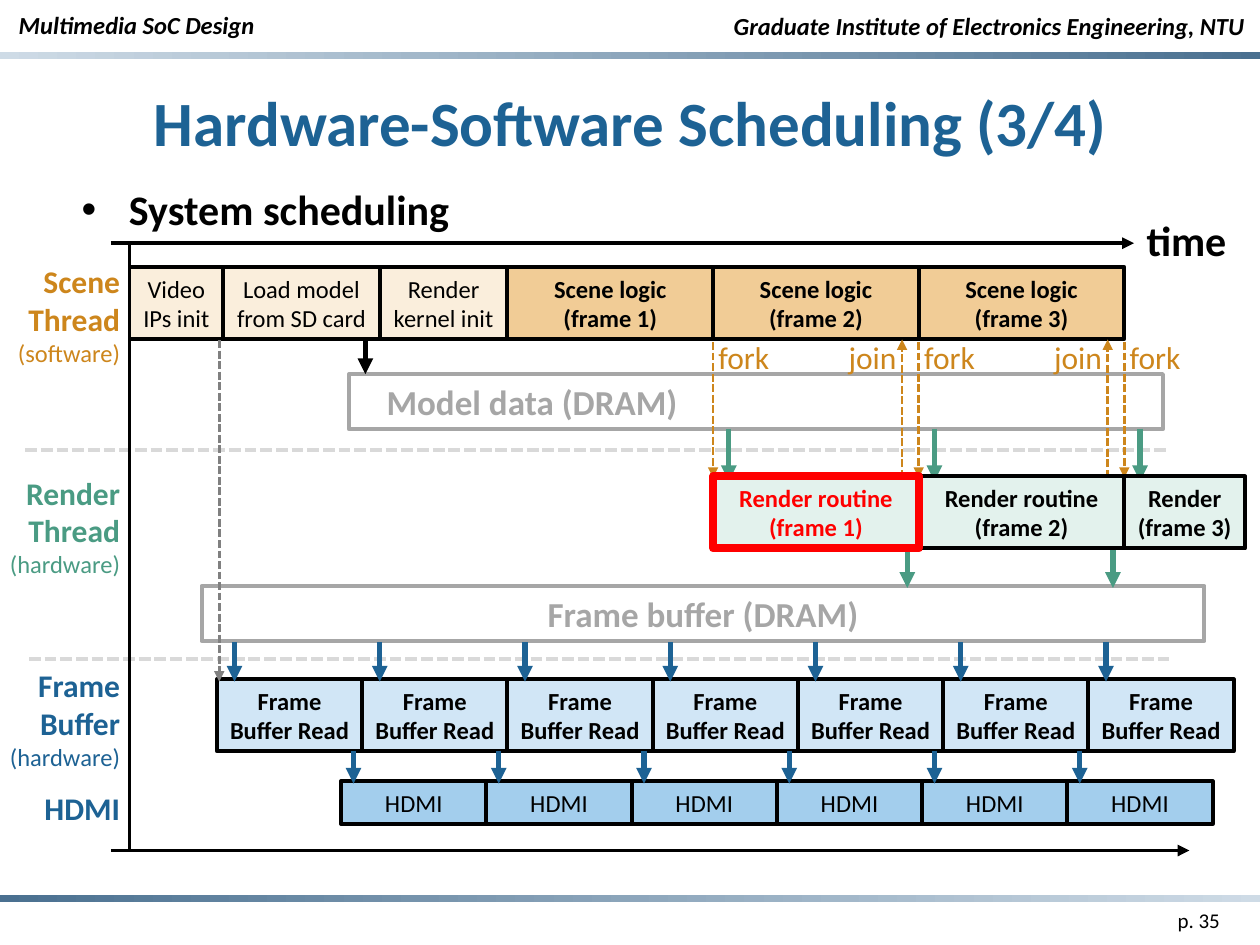
from lxml.etree import SubElement
from pptx import Presentation
from pptx.dml.color import RGBColor
from pptx.enum.dml import MSO_LINE
from pptx.enum.shapes import MSO_CONNECTOR, MSO_SHAPE
from pptx.enum.text import MSO_ANCHOR as Anchor, PP_ALIGN as Align
from pptx.oxml.ns import qn
from pptx.util import Pt

BLACK, GRAY, RED, PALE = "000000", "A6A6A6", "FF0000", "D9D9D9"
ORANGE, GREEN, BLUE = "CD861C", "4A9B83", "1D6294"
BAR = ("CEDBE6", "4A7090")

# Content: (text, left, top, width, height, size, colour, alignment, format)
HEADING = dict(bold=True, italic=True)
HEADINGS = [
    ("Multimedia SoC Design", 3.6, 2.2, 275, 24.5, 14, BLACK, Align.LEFT, HEADING),
    ("Graduate Institute of Electronics Engineering, NTU", 358.6, 2.9, 360, 24.5, 14,
     BLACK, Align.RIGHT, HEADING),
    ("p. 35", 579.6, 514.8, 124.6, 21.6, 12, BLACK, Align.RIGHT, {}),
    ("time", 638, 118.8, 80, 36, 24, BLACK, Align.CENTER, dict(bold=True)),
]
# Row labels: (bold lines, small line, top, colour)
LABELS = [
    (["Scene", "Thread"], "(software)", 146.2, ORANGE),
    (["Render", "Thread"], "(hardware)", 267.1, GREEN),
    (["Frame", "Buffer"], "(hardware)", 377.3, BLUE),
    (["HDMI"], None, 447.1, BLUE),
]
SETUP = [("Video IPs init", 74, 53.5), ("Load model\vfrom SD card", 127.5, 89.5),
         ("Render kernel init", 217, 73)]
MEMORIES = [("Model data (DRAM)", 199.4, 213.8, 465.2, Align.LEFT, 21.5),
            ("Frame buffer (DRAM)", 115.2, 334.8, 573.1, Align.CENTER, 7.2)]

# Timeline grid
SCENE_LEFT, RENDER_LEFT, FRAME_STEP = 290, 407.5, 117.5
READ_LEFT, HDMI_LEFT, READ_STEP = 124, 195, 83
READ_COUNT, HDMI_COUNT = 7, 6
SCENE_TOP, RENDER_TOP, READ_TOP, HDMI_TOP = 152.6, 272.2, 388.1, 446.4
ROW_HEIGHT, HDMI_HEIGHT, MEMORY_HEIGHT = 41.2, 24.5, 31.5
FORK_TOP, MODEL_BOTTOM, BUFFER_BOTTOM = 195.5, 245, 367


def rgb(value):
    return RGBColor.from_string(value)


def fill_text(box, lines, align, inset, anchor):
    """Write lines of (text, size, colour, format), one paragraph each."""
    frame = box.text_frame
    settings = dict(word_wrap=True, vertical_anchor=anchor, margin_left=Pt(inset),
                    margin_right=Pt(inset), margin_top=Pt(3.6), margin_bottom=Pt(3.6))
    for name, value in settings.items():
        setattr(frame, name, value)
    for index, (text, size, color, style) in enumerate(lines):
        para = frame.add_paragraph() if index else frame.paragraphs[0]
        para.alignment = align
        para.text = text
        for span in para.runs:
            for name, value in dict(name="Calibri", size=Pt(size), **style).items():
                setattr(span.font, name, value)
            span.font.color.rgb = rgb(color)


def add_text(page, left, top, width, height, lines, align=Align.LEFT, inset=7.2,
             anchor=Anchor.TOP):
    box = page.shapes.add_textbox(Pt(left), Pt(top), Pt(width), Pt(height))
    fill_text(box, lines, align, inset, anchor)
    return box


def add_box(page, text, left, top, width, height, fill, size=14, color=BLACK, bold=True,
            border=BLACK, weight=2.25, align=Align.CENTER, inset=5):
    box = page.shapes.add_shape(MSO_SHAPE.RECTANGLE, Pt(left), Pt(top), Pt(width), Pt(height))
    box.shadow.inherit = False
    box.fill.solid()
    box.fill.fore_color.rgb = rgb(fill)
    box.line.color.rgb = rgb(border)
    box.line.width = Pt(weight)
    fill_text(box, [(text, size, color, dict(bold=bold))], align, inset, Anchor.MIDDLE)


def add_bar(page, top, colors):
    bar = page.shapes.add_shape(MSO_SHAPE.RECTANGLE, 0, Pt(top), Pt(720), Pt(4.3))
    bar.shadow.inherit = False
    bar.line.fill.background()
    bar.fill.gradient()
    bar.fill.gradient_angle = 0
    for stop, color in zip(bar.fill.gradient_stops, colors):
        stop.color.rgb = rgb(color)


def add_line(page, x1, y1, x2, y2, color, weight=2.25, dashed=False, arrow=True):
    line = page.shapes.add_connector(MSO_CONNECTOR.STRAIGHT, Pt(x1), Pt(y1), Pt(x2), Pt(y2))
    line.line.color.rgb = rgb(color)
    line.line.width = Pt(weight)
    if dashed:
        line.line.dash_style = MSO_LINE.SQUARE_DOT
    if arrow:
        SubElement(line.line._get_or_add_ln(), qn("a:tailEnd"), type="triangle")
    SubElement(line._element.spPr, qn("a:effectLst"))


def add_drops(page, left, step, count, top, bottom, color, weight=3, dashed=False):
    """Equally spaced vertical arrows."""
    for index in range(count):
        x = left + index * step
        add_line(page, x, top, x, bottom, color, weight, dashed)


def main():
    deck = Presentation()
    deck.slide_width, deck.slide_height = Pt(720), Pt(540)
    page = deck.slides.add_slide(deck.slide_layouts[6])

    # Header, footer and title
    add_bar(page, 29.5, BAR)
    add_bar(page, 511.2, BAR[::-1])
    for text, left, top, width, height, size, color, align, style in HEADINGS:
        add_text(page, left, top, width, height, [(text, size, color, style)], align)
    add_text(page, 25.9, 41, 668.9, 56.2,
             [("Hardware-Software Scheduling (3/4)", 36, BLUE, dict(bold=True))],
             Align.CENTER, anchor=Anchor.MIDDLE)
    bullet = add_text(page, 39.6, 101.5, 279.4, 36,
                      [("System scheduling", 24, BLACK, dict(bold=True))])
    props = bullet.text_frame.paragraphs[0]._p.get_or_add_pPr()
    props.set("marL", str(Pt(27)))
    props.set("indent", str(-Pt(27)))
    SubElement(props, qn("a:buFont"), typeface="Arial")
    SubElement(props, qn("a:buChar"), char="•")

    # Row separators and labels
    for left, y in [(14.4, 257), (16.6, 376.6)]:
        add_line(page, left, y, 668.2, y, PALE, dashed=True, arrow=False)
    for names, note, top, color in LABELS:
        lines = [(name, 18, color, dict(bold=True)) for name in names]
        if note:
            lines.append((note, 14, color, {}))
        add_text(page, 0, top, 72.2, 7.2 + 22 * len(lines), lines, Align.RIGHT, inset=3.6)

    # Scene thread and memories
    for text, left, width in SETUP:
        add_box(page, text, left, SCENE_TOP, width, ROW_HEIGHT, "FAEEDC", bold=False)
    for index in range(3):
        add_box(page, f"Scene logic\v(frame {index + 1})", SCENE_LEFT + index * FRAME_STEP,
                SCENE_TOP, FRAME_STEP, ROW_HEIGHT, "F1CC96")
    for text, left, top, width, align, inset in MEMORIES:
        add_box(page, text, left, top, width, MEMORY_HEIGHT, "FFFFFF", 20, GRAY,
                border=GRAY, align=align, inset=inset)

    # Time axes
    add_line(page, 63.4, 139, 648, 139, BLACK)
    add_line(page, 74, 140, 74, 486, BLACK, arrow=False)
    add_line(page, 63.4, 486, 679.7, 486, BLACK)

    # Frame buffer reads and HDMI output
    for index in range(READ_COUNT):
        add_box(page, "Frame Buffer Read", READ_LEFT + index * READ_STEP, READ_TOP,
                READ_STEP, ROW_HEIGHT, "D1E6F6")
    for index in range(HDMI_COUNT):
        add_box(page, "HDMI", HDMI_LEFT + index * READ_STEP, HDMI_TOP, READ_STEP,
                HDMI_HEIGHT, "A3CEED", bold=False)
    add_drops(page, 134, READ_STEP, READ_COUNT, BUFFER_BOTTOM, 389.5, BLUE)
    add_drops(page, 202, READ_STEP, HDMI_COUNT, 429.1, 447.8, BLUE)

    # Fork and join, data in and out of the render thread
    add_drops(page, RENDER_LEFT, FRAME_STEP, 3, FORK_TOP, 273, ORANGE, 1.5, True)
    add_drops(page, 515.5, FRAME_STEP, 2, 273, 194, ORANGE, 1.5, True)
    add_drops(page, 416.5, FRAME_STEP, 3, MODEL_BOTTOM, 275, GREEN)
    add_drops(page, 518.5, FRAME_STEP, 2, 313.9, 336, GREEN)
    for text, left, count in [("fork", 401, 3), ("join", 474.5, 2)]:
        for index in range(count):
            add_text(page, left + index * FRAME_STEP, 189.4, 48.2, 28.8,
                     [(text, 18, ORANGE, {})], Align.CENTER, inset=3.6)

    # Render thread, with the first frame highlighted on top
    add_box(page, "Render routine\v(frame 2)", RENDER_LEFT + FRAME_STEP, RENDER_TOP,
            FRAME_STEP, ROW_HEIGHT, "E3F2ED")
    add_box(page, "Render\v(frame 3)", RENDER_LEFT + 2 * FRAME_STEP, RENDER_TOP, 69,
            ROW_HEIGHT, "E3F2ED")
    add_box(page, "Render routine\v(frame 1)", RENDER_LEFT, RENDER_TOP, FRAME_STEP,
            ROW_HEIGHT, "E3F2ED", color=RED, border=RED, weight=4.5)

    # Links from the setup steps
    add_line(page, 208.8, 193.7, 208.8, 213.8, BLACK, 3)
    add_line(page, 125.3, 194.4, 125.3, 389.5, "808080", 1.5, dashed=True)

    deck.save("out.pptx")


if __name__ == "__main__":
    main()
